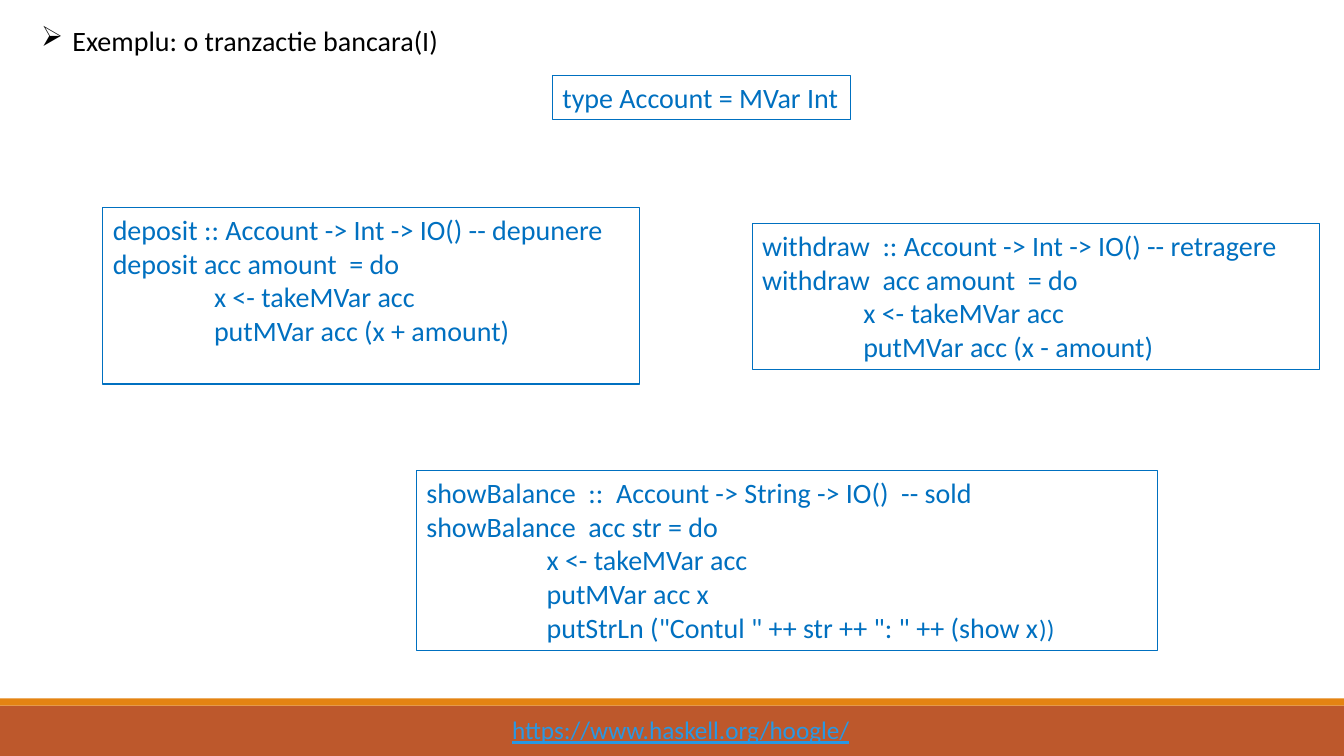
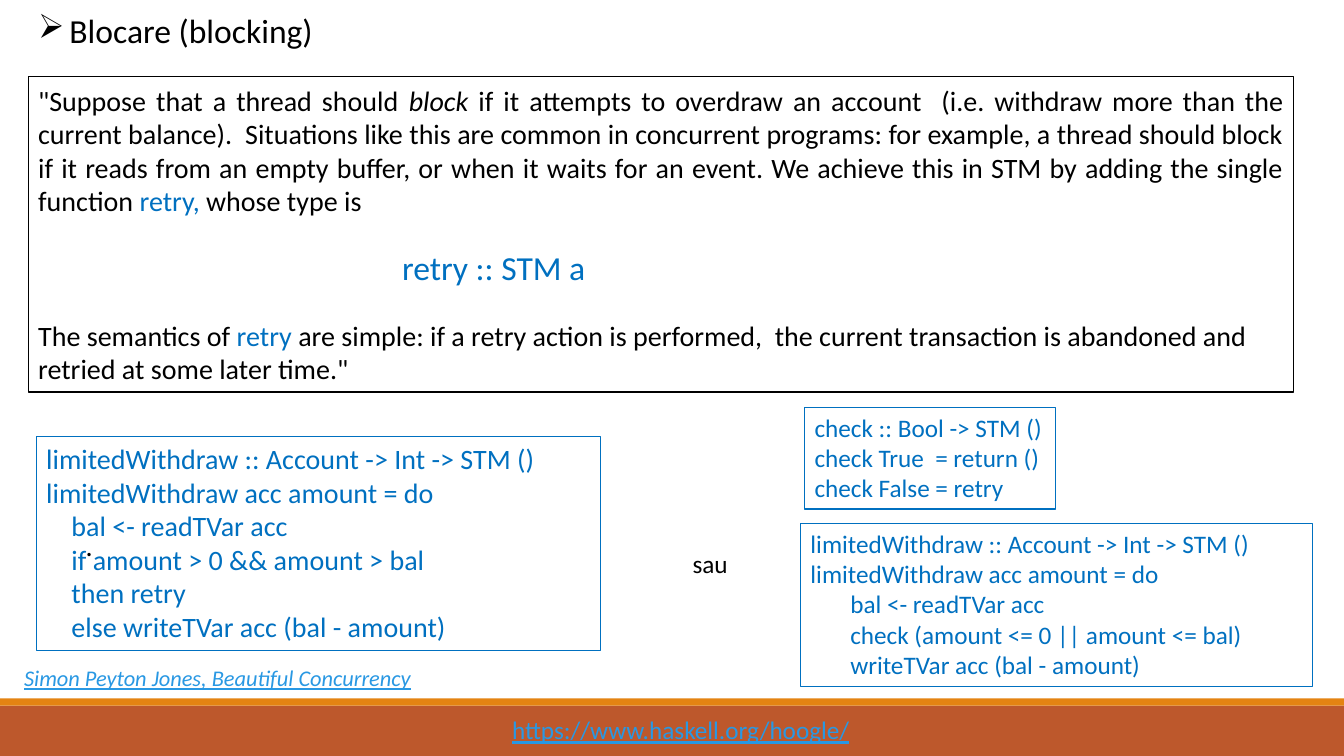
"""Build two Haskell concurrency slides with a shared footer."""
from dataclasses import dataclass
from typing import Optional

from lxml.etree import SubElement
from pptx import Presentation
from pptx.dml.color import RGBColor
from pptx.enum.shapes import MSO_SHAPE as Preset
from pptx.enum.text import MSO_ANCHOR as Anchor, PP_ALIGN as Align
from pptx.oxml.ns import qn
from pptx.slide import Slide
from pptx.util import Inches, Pt


@dataclass(frozen=True)
class Theme:
    font: str = "Calibri"
    ink: str = "000000"
    code: str = "0070C0"
    link: str = "2998E3"
    band: str = "BD582C"
    stripe: str = "E48312"
    large: int = 24
    body: int = 20
    small: int = 18
    source: int = 16
    border: float = 0.75


THEME = Theme()


@dataclass(frozen=True)
class Run:
    text: str
    color: str = THEME.ink
    size: int = THEME.body
    italic: bool = False
    underline: bool = False


@dataclass(frozen=True)
class Line:
    runs: tuple[Run, ...]
    align: Align = Align.LEFT
    space_before: float = 0
    bullet: str = ""


@dataclass(frozen=True)
class Box:
    left: float
    top: float
    width: float
    height: float
    lines: tuple[Line, ...]
    border: Optional[str] = None
    wrap: bool = False
    anchor: Anchor = Anchor.TOP


def draw_box(slide: Slide, box: Box) -> None:
    shape = slide.shapes.add_textbox(
        Inches(box.left), Inches(box.top), Inches(box.width), Inches(box.height))
    if box.border:
        shape.line.color.rgb = RGBColor.from_string(box.border)
        shape.line.width = Pt(THEME.border)
    frame = shape.text_frame
    frame.word_wrap = box.wrap
    frame.vertical_anchor = box.anchor
    for index, line in enumerate(box.lines):
        paragraph = frame.add_paragraph() if index else frame.paragraphs[0]
        paragraph.alignment = line.align
        if line.space_before:
            paragraph.space_before = Pt(line.space_before)
        if line.bullet:
            properties = paragraph._p.get_or_add_pPr()
            properties.set("marL", str(Inches(0.31)))
            properties.set("indent", str(Inches(-0.31)))
            SubElement(properties, qn("a:buChar")).set("char", line.bullet)
        for part in line.runs:
            run = paragraph.add_run()
            run.text = part.text
            run.font.name = THEME.font
            run.font.size = Pt(part.size)
            run.font.italic = part.italic
            run.font.underline = part.underline
            run.font.color.rgb = RGBColor.from_string(part.color)


def draw_band(slide: Slide, top: float, height: float, color: str) -> None:
    band = slide.shapes.add_shape(
        Preset.RECTANGLE, 0, Inches(top), Inches(13.33), Inches(height))
    band.shadow.inherit = False
    band.fill.solid()
    band.fill.fore_color.rgb = RGBColor.from_string(color)
    band.line.fill.background()


def single(left: float, top: float, width: float, height: float, run: Run) -> Box:
    return Box(left, top, width, height, (Line((run,)),))


def title(top: float, width: float, height: float, text: str, size: int) -> Box:
    line = Line((Run(text, size=size),), bullet="➢")
    return Box(0.31 if size == THEME.body else 0.28, top, width, height, (line,))


def code_box(left: float, top: float, width: float, height: float, code: str,
             size: int = THEME.body, wrap: bool = True, tail: str = "") -> Box:
    rows = [(Run(row, THEME.code, size),) for row in code.split("\n")]
    if tail:
        rows[-1] += (Run(tail, THEME.code, THEME.small),)
    return Box(left, top, width, height, tuple(Line(row) for row in rows),
               THEME.code, wrap)


FOOTER = single(4.98, 7.04, 3.59, 0.4, Run(
    "https://www.haskell.org/hoogle/", THEME.link, THEME.small, underline=True))

DEPOSIT = """deposit :: Account -> Int -> IO() -- depunere
deposit acc amount  = do
                x <- takeMVar acc
                putMVar acc (x + amount)"""

WITHDRAW = """withdraw  :: Account -> Int -> IO() -- retragere
withdraw  acc amount  = do
                x <- takeMVar acc
                putMVar acc (x - amount)"""

SHOW_BALANCE = """showBalance  ::  Account -> String -> IO()  -- sold
showBalance  acc str = do
                   x <- takeMVar acc
                   putMVar acc x
                   putStrLn ("Contul " ++ str ++ ": " ++ (show x"""

LIMITED_RETRY = """limitedWithdraw :: Account -> Int -> STM ()
limitedWithdraw acc amount = do
    bal <- readTVar acc
    if amount > 0 && amount > bal
    then retry
    else writeTVar acc (bal - amount)"""

CHECK = """check :: Bool -> STM ()
check True  = return ()
check False = retry"""

LIMITED_CHECK = """limitedWithdraw :: Account -> Int -> STM ()
limitedWithdraw acc amount = do
       bal <- readTVar acc
       check (amount <= 0 || amount <= bal)
       writeTVar acc (bal - amount)"""

QUOTE = (
    Line((
        Run('"Suppose that a thread should '),
        Run("block", italic=True),
        Run(" if it attempts to overdraw an account  (i.e. withdraw more than the "
            "current balance).  Situations like this are common in concurrent "
            "programs: for example, a thread should block "),
    ), Align.JUSTIFY),
    Line((
        Run("if it reads from an empty buffer, or when it waits for an event. We "
            "achieve this in STM by adding the single function "),
        Run("retry,", THEME.code),
        Run(" whose type is"),
    ), Align.JUSTIFY),
    Line((
        Run("The semantics of "),
        Run("retry", THEME.code),
        Run(" are simple: if a retry action is performed,  the current transaction "
            'is abandoned and retried at some later time."'),
    ), space_before=72),
)

SLIDES = (
    (
        title(0.18, 4.18, 0.44, "Exemplu: o tranzactie bancara(I)", THEME.body),
        code_box(1.02, 2.06, 5.32, 1.75, DEPOSIT),
        code_box(7.46, 2.22, 5.63, 1.45, WITHDRAW),
        code_box(5.48, 0.75, 2.96, 0.44, "type Account = MVar Int", wrap=False),
        code_box(4.13, 4.67, 7.35, 1.78, SHOW_BALANCE, tail="))"),
    ),
    (
        Box(0.28, 0.76, 12.55, 3.13, QUOTE, THEME.ink, True, Anchor.MIDDLE),
        title(0.05, 2.95, 0.5, "Blocare (blocking)", THEME.large),
        single(0.75, 5.19, 0.34, 0.44, Run(".")),
        code_box(0.36, 4.33, 5.6, 2.12, LIMITED_RETRY),
        code_box(7.98, 4.04, 2.49, 1.01, CHECK, THEME.small, False),
        code_box(7.94, 5.19, 5.08, 1.62, LIMITED_CHECK, THEME.small),
        single(6.77, 5.39, 0.55, 0.4, Run("sau", size=THEME.small)),
        single(0.14, 6.54, 4.09, 0.37, Run(
            "Simon Peyton Jones, Beautiful Concurrency", THEME.link,
            THEME.source, True, True)),
        single(3.89, 2.4, 2.04, 0.5, Run("retry :: STM a", THEME.code, THEME.large)),
    ),
)


def main() -> None:
    presentation = Presentation()
    presentation.slide_width = Inches(13.33)
    presentation.slide_height = Inches(7.5)
    for boxes in SLIDES:
        slide = presentation.slides.add_slide(presentation.slide_layouts[6])
        draw_band(slide, 7, 0.5, THEME.band)
        draw_band(slide, 6.93, 0.07, THEME.stripe)
        for box in (FOOTER, *boxes):
            draw_box(slide, box)
    presentation.save("out.pptx")


if __name__ == "__main__":
    main()
